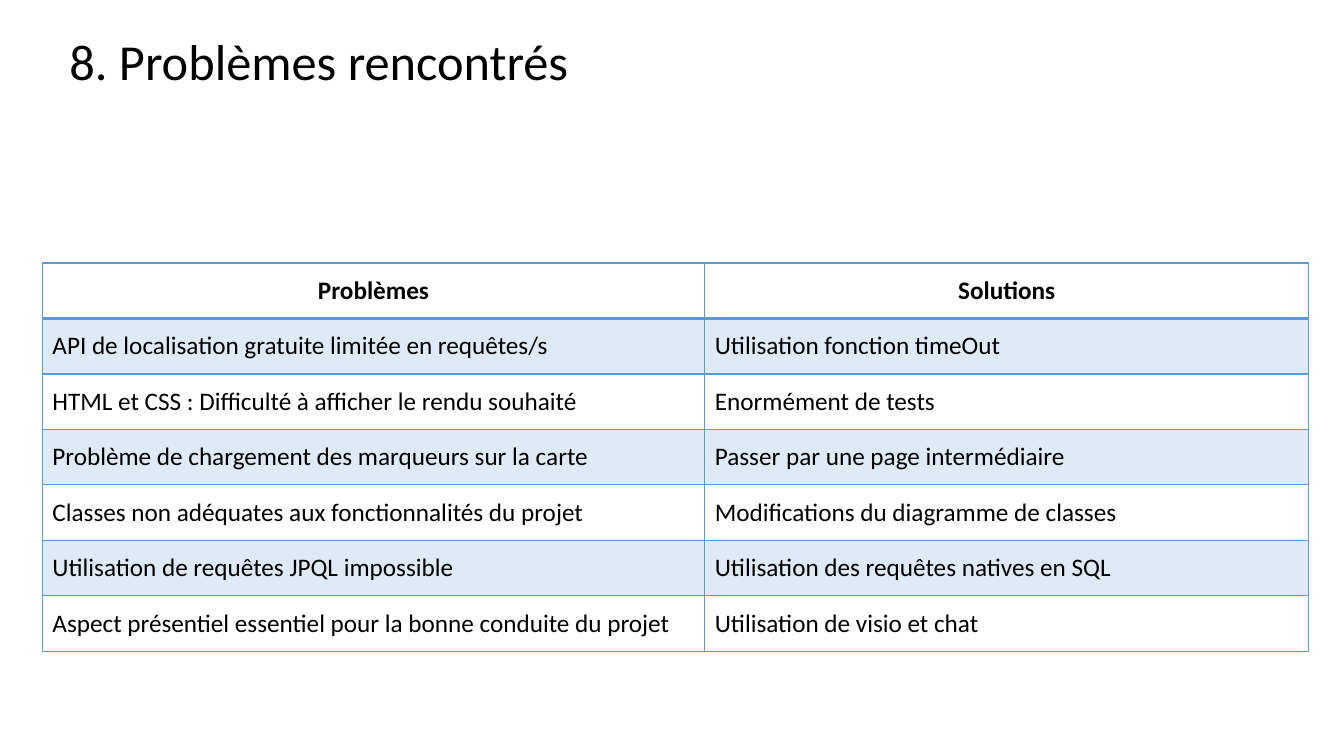
from dataclasses import dataclass

from lxml import etree
from pptx import Presentation
from pptx.dml.color import RGBColor
from pptx.enum.text import MSO_ANCHOR, PP_ALIGN
from pptx.oxml.ns import qn
from pptx.util import Inches, Pt

MIDDLE = MSO_ANCHOR.MIDDLE
LEFT, CENTER = PP_ALIGN.LEFT, PP_ALIGN.CENTER


@dataclass(frozen=True)
class Theme:
    font: str = "Calibri"
    text: str = "000000"
    border: str = "5B9BD5"
    band: str = "DEEBF7"
    title_size: int = 36
    cell_size: int = 18
    thin: int = 1
    thick: int = 2


THEME = Theme()
COLUMN_WIDTHS = (6.57, 5.99)
ROW_HEIGHT = 0.55
ROWS = (
    ("Problèmes", "Solutions"),
    ("API de localisation gratuite limitée en requêtes/s", "Utilisation fonction timeOut"),
    ("HTML et CSS : Difficulté à afficher le rendu souhaité", "Enormément de tests"),
    ("Problème de chargement des marqueurs sur la carte", "Passer par une page intermédiaire"),
    ("Classes non adéquates aux fonctionnalités du projet", "Modifications du diagramme de classes"),
    ("Utilisation de requêtes JPQL impossible", "Utilisation des requêtes natives en SQL"),
    ("Aspect présentiel essentiel pour la bonne conduite du projet", "Utilisation de visio et chat"),
)


def add_run(p, text, size, bold=False):
    r = p.add_run()
    r.text = text
    r.font.name = THEME.font
    r.font.size = Pt(size)
    r.font.bold = bold
    r.font.color.rgb = RGBColor.from_string(THEME.text)


def add_title(s, text, left, top, width, height):
    tf = s.shapes.add_textbox(Inches(left), Inches(top), Inches(width), Inches(height)).text_frame
    tf.word_wrap = True
    add_run(tf.paragraphs[0], text, THEME.title_size)


def set_borders(cell, top, bottom):
    """Draw the four edges; must run before the fill, which follows them in the XML."""
    tc_pr = cell._tc.get_or_add_tcPr()
    widths = {"L": THEME.thin, "R": THEME.thin, "T": top, "B": bottom}
    for side, width in widths.items():
        ln = etree.SubElement(tc_pr, qn(f"a:ln{side}"), w=str(Pt(width)))
        fill = etree.SubElement(ln, qn("a:solidFill"))
        etree.SubElement(fill, qn("a:srgbClr"), val=THEME.border)


def fill_cell(cell, text, row):
    header = row == 0
    set_borders(
        cell,
        top=THEME.thick if row == 1 else THEME.thin,
        bottom=THEME.thick if header else THEME.thin,
    )
    if row % 2:
        cell.fill.solid()
        cell.fill.fore_color.rgb = RGBColor.from_string(THEME.band)
    else:
        cell.fill.background()
    cell.vertical_anchor = MIDDLE
    p = cell.text_frame.paragraphs[0]
    p.alignment = CENTER if header else LEFT
    add_run(p, text, THEME.cell_size, bold=header)


def add_problem_table(s, left, top):
    table = s.shapes.add_table(
        len(ROWS), len(COLUMN_WIDTHS), Inches(left), Inches(top),
        Inches(sum(COLUMN_WIDTHS)), Inches(ROW_HEIGHT * len(ROWS)),
    ).table
    for column, width in zip(table.columns, COLUMN_WIDTHS):
        column.width = Inches(width)
    for row, texts in enumerate(ROWS):
        table.rows[row].height = Inches(ROW_HEIGHT)
        for col, text in enumerate(texts):
            fill_cell(table.cell(row, col), text, row)


def main():
    prs = Presentation()
    prs.slide_width, prs.slide_height = Inches(13.33), Inches(7.5)
    s = prs.slides.add_slide(prs.slide_layouts[6])
    add_title(s, "8. Problèmes rencontrés", 0.59, 0.25, 7.06, 0.71)
    add_problem_table(s, 0.42, 2.61)
    prs.save("out.pptx")


if __name__ == "__main__":
    main()
